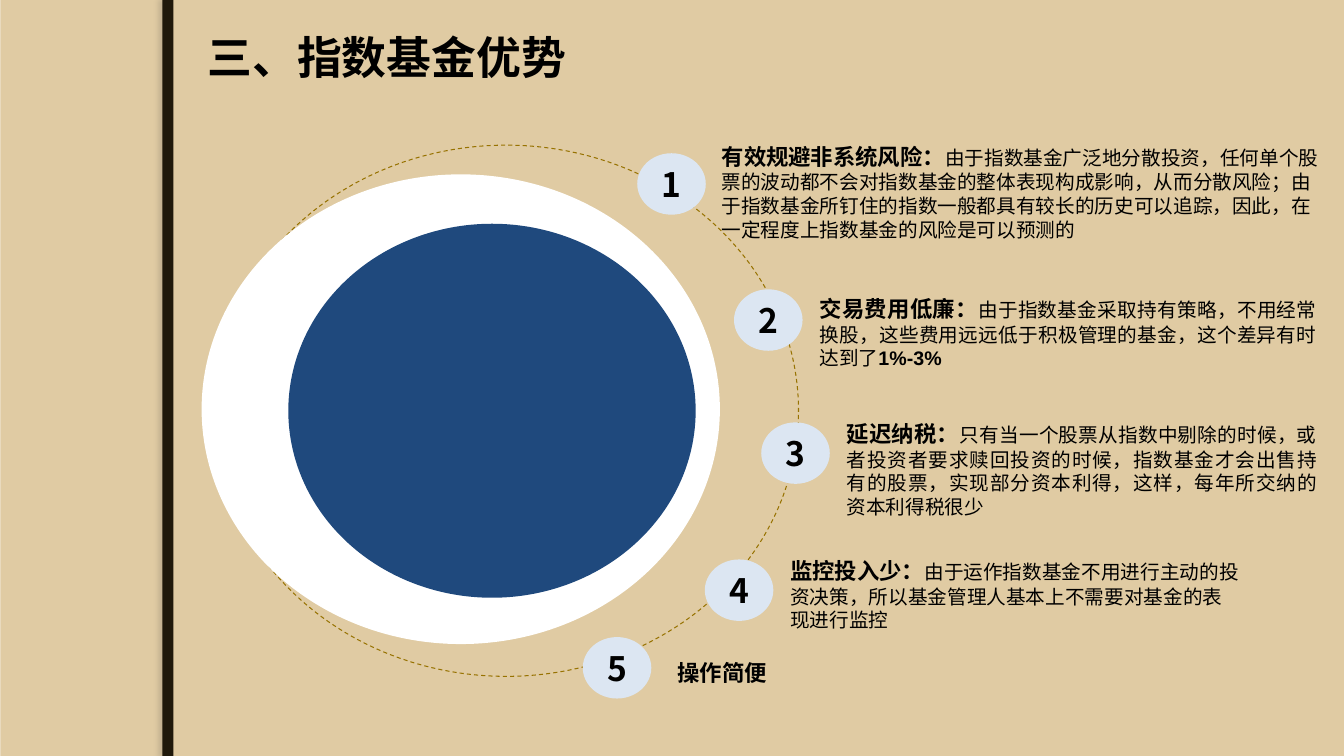
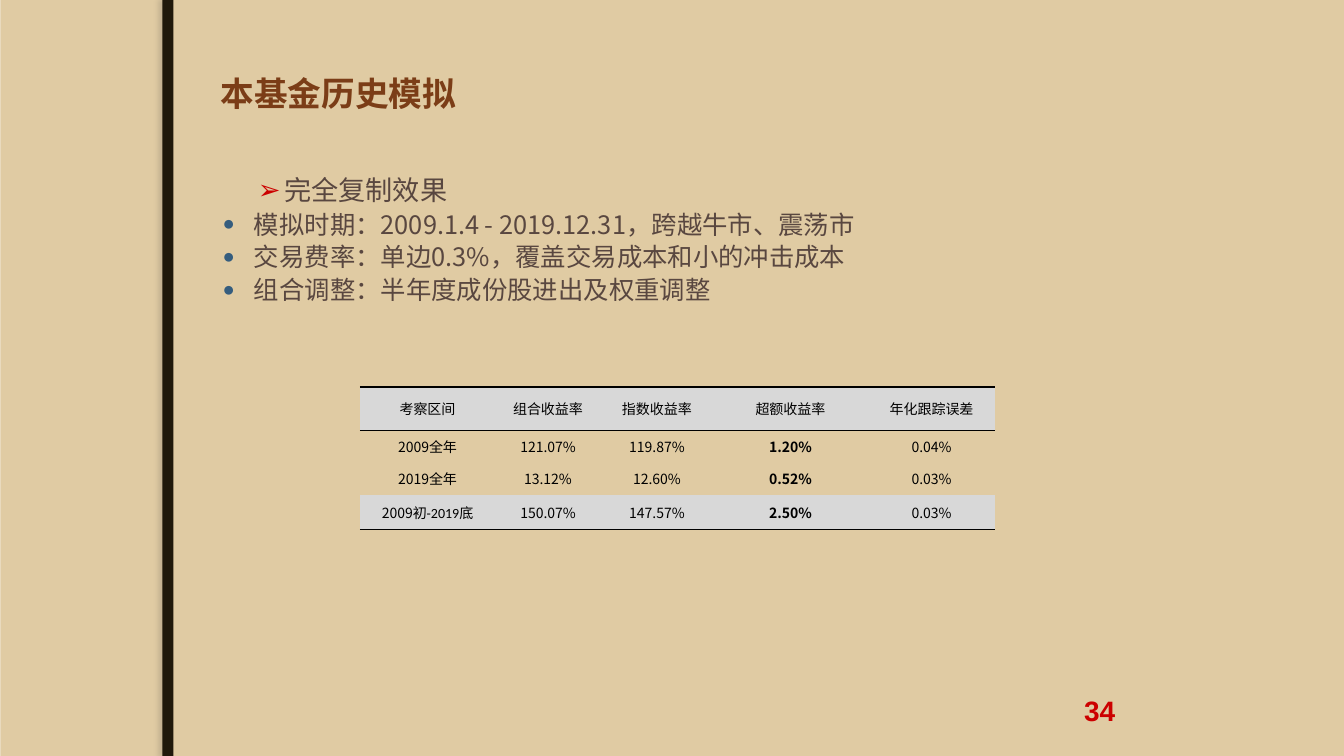
import lxml.etree
import pptx
import pptx.dml.color
import pptx.enum.dml
import pptx.enum.shapes
import pptx.enum.text
import pptx.oxml.ns
import pptx.util

COLS, ROWS = 133.3, 75  # one grid cell is a tenth of an inch
CELL = pptx.util.Inches(0.1)
HAN, SANS, BODY = "Noto Sans CJK SC", "Arial", "Calibri"
HEX = {
    "edge": "EBDDC3", "sand": "E0CBA3", "bar": "20190B", "shade": "766E60",
    "ink": "000000", "brown": "7B3D17", "text": "594740", "red": "CC0000",
    "dot": "355D7E", "ring": "977201", "node": "DCE6F2", "white": "FFFFFF",
    "navy": "1F497D", "grey": "D8D8D8",
}
ALIGN = pptx.enum.text.PP_ALIGN
ANCHOR = pptx.enum.text.MSO_ANCHOR
SHAPE = pptx.enum.shapes.MSO_SHAPE

# number, node place, text box, alignment, heading, remaining runs
POINTS = [
    ("1", (63.2, 15.2), (70.6, 13.5, 62, 15.3), ALIGN.LEFT, "有效规避非系统风险：",
     ["由于指数基金广泛地分散投资，任何单个股票的波动都不会对指数基金的整体表现构成影响，"
      "从而分散风险；由于指数基金所钉住的指数一般都具有较长的历史可以追踪，因此，"
      "在一定程度上指数基金的风险是可以预测的"]),
    ("2", (72.8, 28.7), (80.3, 28.6, 51.3, 11.3), ALIGN.JUSTIFY, "交易费用低廉：",
     ["由于指数基金采取持有策略，不用经常换股，这些费用远远低于积极管理的基金，"
      "这个差异有时达到了", "1%-3%"]),
    ("3", (75.5, 41.9), (83, 41, 48.6, 10.7), ALIGN.JUSTIFY, "延迟纳税：",
     ["只有当一个股票从指数中剔除的时候，或者投资者要求赎回投资的时候，"
      "指数基金才会出售持有的股票，实现部分资本利得，这样，每年所交纳的资本利得税很少"]),
    ("4", (69.9, 55.5), (77.4, 54.6, 46.8, 11.3), ALIGN.LEFT, "监控投入少：",
     ["由于运作指数基金不用进行主动的投资决策，所以基金管理人基本上不需要对基金的表现进行监控"]),
    ("5", (57.8, 63.2), (66.2, 64.7, 41.8, 3.7), ALIGN.LEFT, "操作简便", []),
]
FACTS = [
    "模拟时期：2009.1.4 - 2019.12.31，跨越牛市、震荡市",
    "交易费率：单边0.3%，覆盖交易成本和小的冲击成本",
    "组合调整：半年度成份股进出及权重调整",
]
HEADS = ["考察区间", "组合收益率", "指数收益率", "超额收益率", "年化跟踪误差"]
YIELDS = [
    [("2009", "全年"), "121.07%", "119.87%", "1.20%", "0.04%"],
    [("2019", "全年"), "13.12%", "12.60%", "0.52%", "0.03%"],
    [("2009", "初-2019底"), "150.07%", "147.57%", "2.50%", "0.03%"],
]


def grid(*cells):
    return [round(n * CELL) for n in cells]


def tint(name):
    return pptx.dml.color.RGBColor.from_string(HEX[name])


def node(parent, tag, **attrs):
    """Append an XML child in the drawing namespace."""
    return lxml.etree.SubElement(
        parent, pptx.oxml.ns.qn("a:" + tag), {k: str(v) for k, v in attrs.items()})


class Deck:
    def __init__(self):
        self.prs = pptx.Presentation()
        self.prs.slide_width, self.prs.slide_height = grid(COLS, ROWS)
        self.slide = None

    def page(self):
        """Start a slide with the shared ground and side bar."""
        self.slide = self.prs.slides.add_slide(self.prs.slide_layouts[6])
        ground = self.slide.background.fill
        ground.solid()
        ground.fore_color.rgb = tint("edge")
        self.shape(SHAPE.RECTANGLE, (0.1, 0, COLS - 0.1, ROWS), "sand")
        bar = self.shape(SHAPE.RECTANGLE, (16.1, 0, 1.1, ROWS), "bar")
        glow = node(bar._element.spPr.find(pptx.oxml.ns.qn("a:effectLst")), "outerShdw",
                    blurRad=pptx.util.Pt(3), dist=pptx.util.Pt(3), dir=180 * 60000)
        node(node(glow, "srgbClr", val=HEX["shade"]), "alpha", val=25000)

    def shape(self, kind, box, fill=None):
        item = self.slide.shapes.add_shape(kind, *grid(*box))
        item.shadow.inherit = False
        item.line.fill.background()
        if fill:
            item.fill.solid()
            item.fill.fore_color.rgb = tint(fill)
        else:
            item.fill.background()
        return item

    def oval(self, box, fill=None):
        return self.shape(SHAPE.OVAL, box, fill)

    def ring(self, box):
        line = self.oval(box).line
        line.color.rgb = tint("ring")
        line.width = pptx.util.Pt(0.75)
        line.dash_style = pptx.enum.dml.MSO_LINE.DASH

    def run(self, para, text, size, color="ink", bold=False, face=HAN):
        part = para.add_run()
        part.text = text
        font = part.font
        font.size, font.bold, font.name = pptx.util.Pt(size), bold, face
        font.color.rgb = tint(color)
        node(part._r.get_or_add_rPr(), "ea", typeface=HAN)

    def frame(self, box, anchor=ANCHOR.TOP, top=0.5):
        """Add a wrapping text box and return its text frame."""
        frame = self.slide.shapes.add_textbox(*grid(*box)).text_frame
        frame.word_wrap = True
        frame.vertical_anchor = anchor
        frame.margin_top = grid(top)[0]
        return frame

    def title(self, text, box, size, color):
        para = self.frame(box, ANCHOR.MIDDLE).paragraphs[0]
        self.run(para, text, size, color, True)

    def number(self, text):
        para = self.frame((88.3, 68.3, 23.3, 5.2)).paragraphs[0]
        para.alignment = ALIGN.RIGHT
        self.run(para, text, 20, "red", True, SANS)

    def badge(self, text, place):
        frame = self.oval((*place, 6.8, 6.1), "node").text_frame
        frame.margin_left = frame.margin_right = 0
        frame.margin_top = frame.margin_bottom = 0
        frame.vertical_anchor = ANCHOR.MIDDLE
        para = frame.paragraphs[0]
        para.alignment = ALIGN.CENTER
        self.run(para, text, 24, bold=True)

    def point(self, box, align, head, rest):
        para = self.frame(box, top=1).paragraphs[0]
        para.alignment = align
        para.line_spacing = pptx.util.Pt(17)
        self.run(para, head, 16, bold=True)
        for text in rest:
            latin = text.isascii()
            self.run(para, text, 14, bold=latin, face=SANS if latin else HAN)

    def bullet(self, para, text, size, mark, color, left, hang, scale=100):
        para.line_spacing = pptx.util.Pt(23.5)
        props = para._p.get_or_add_pPr()
        props.set("marL", str(grid(left)[0]))
        props.set("indent", str(grid(-hang)[0]))
        node(node(props, "buClr"), "srgbClr", val=HEX[color])
        node(props, "buSzPct", val=scale * 1000)
        node(props, "buFont", typeface=SANS)
        node(props, "buChar", char=mark)
        self.run(para, text, size, "text")

    def rules(self, cell, shown):
        """Draw the named sides of a cell and clear the others."""
        props = cell._tc.get_or_add_tcPr()
        for side in "LRTB":
            line = node(props, "ln" + side, w=pptx.util.Pt(1))
            if side in shown:
                node(node(line, "solidFill"), "srgbClr", val=HEX["ink"])
            else:
                node(line, "noFill")

    def cell(self, cell, parts, faces, bold, shown, grey, pad):
        cell.margin_left = cell.margin_right = grid(pad)[0]
        cell.margin_top = cell.margin_bottom = 0
        cell.vertical_anchor = ANCHOR.MIDDLE
        self.rules(cell, shown)
        if grey:
            cell.fill.solid()
            cell.fill.fore_color.rgb = tint("grey")
        else:
            cell.fill.background()
        para = cell.text_frame.paragraphs[0]
        para.alignment = ALIGN.CENTER
        for text, face in zip(parts, faces):
            self.run(para, text, 10, bold=bold, face=face)

    def table(self, place, wide, high, rows):
        """Fill a table whose head and last row are grey and ruled."""
        box = (*place, sum(wide), sum(high))
        table = self.slide.shapes.add_table(len(high), len(wide), *grid(*box)).table
        table.first_row = table.horz_banding = False
        for col, width in zip(table.columns, grid(*wide)):
            col.width = width
        for row, height in zip(table.rows, grid(*high)):
            row.height = height
        last = len(rows) - 1
        sides = {0: "TB", 1: "T", last: "B"}
        for r, row in enumerate(rows):
            for c, value in enumerate(row):
                parts = value if isinstance(value, tuple) else (value,)
                self.cell(table.cell(r, c), parts, (HAN, BODY) if r else (BODY,),
                          bool(r) and c == 3, sides.get(r, ""), r in (0, last),
                          0.1 if r and c == 4 else 0.7)


def merits(deck):
    deck.page()
    deck.title("三、指数基金优势", (19.6, 2.5, 52.4, 6.2), 32, "ink")
    deck.ring((21.2, 14.4, 58, 52.7))
    for label, place, box, align, head, rest in POINTS:
        deck.badge(label, place)
        deck.point(box, align, head, rest)
    deck.oval((20, 17.3, 51.4, 46.6), "white")
    deck.oval((28.6, 22.2, 40.4, 37.1), "navy")


def history(deck):
    deck.page()
    deck.number("34")
    deck.title("本基金历史模拟", (20.9, 3, 109.3, 12.5), 24, "brown")
    frame = deck.frame((20.2, 16.7, 111.8, 14.5))
    deck.bullet(frame.paragraphs[0], "完全复制效果", 19.4, "➢", "red", 7, 2.6)
    for fact in FACTS:
        deck.bullet(frame.add_paragraph(), fact, 18.1, "●", "dot", 4, 3.1, 80)
    deck.table((35.7, 38.4), [13.4, 10.5, 11.1, 15.4, 12.6],
               [4.3, 3.2, 3.2, 3.4], [HEADS] + YIELDS)


def main():
    deck = Deck()
    merits(deck)
    history(deck)
    deck.prs.save("out.pptx")


if __name__ == "__main__":
    main()
